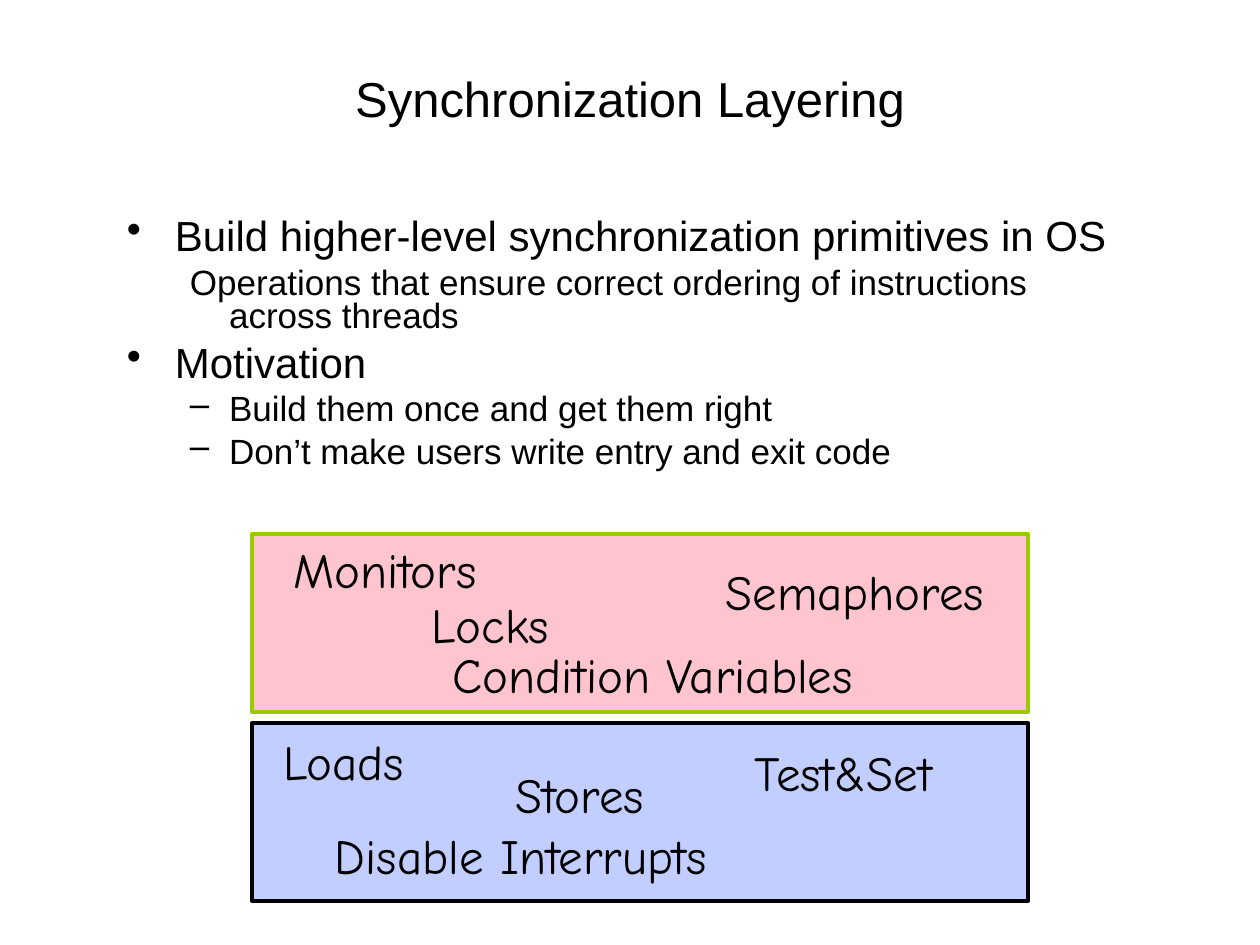
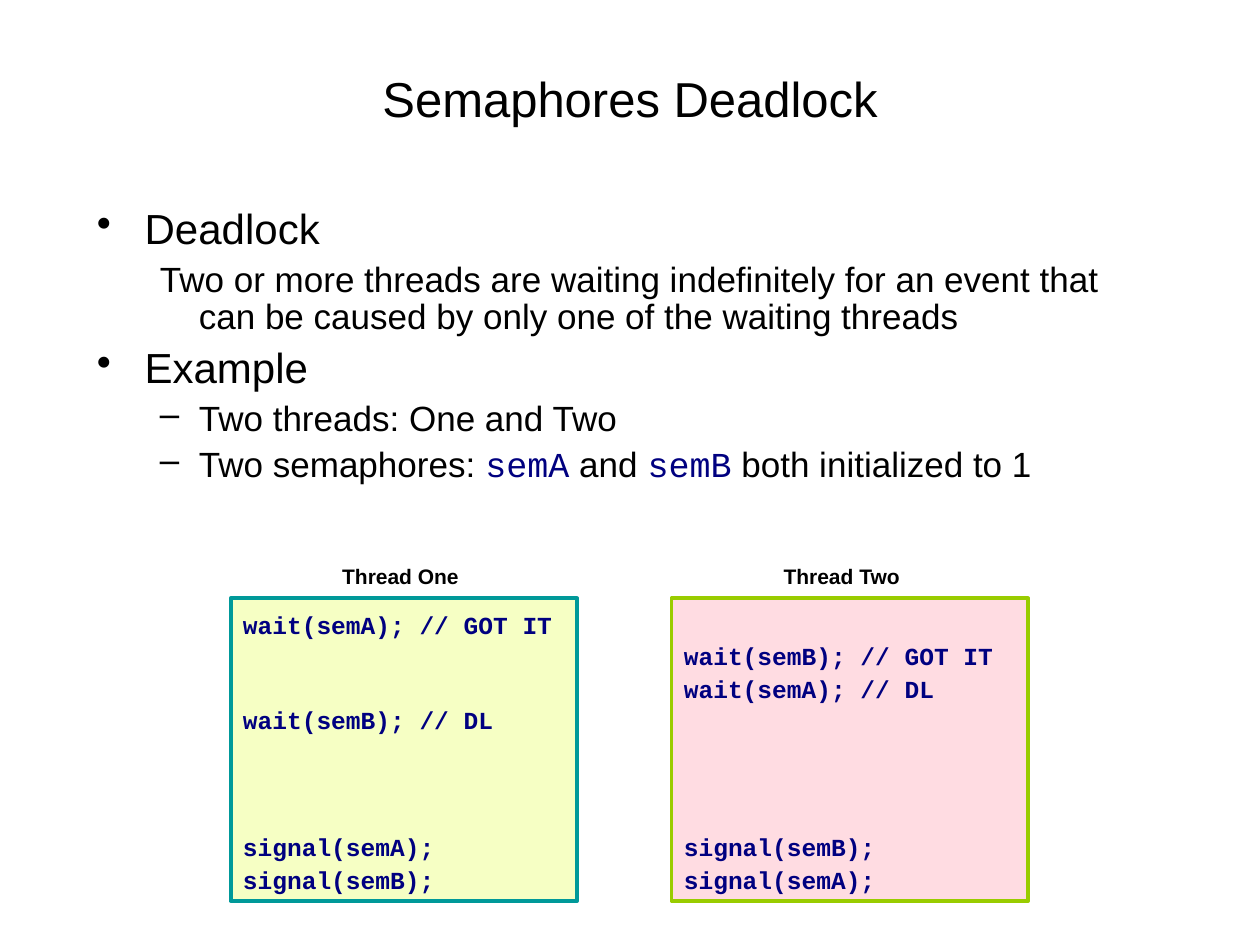
"""Build two slides on synchronization layering and semaphore deadlock."""
from lxml.etree import SubElement
from pptx import Presentation
from pptx.dml.color import RGBColor
from pptx.enum.shapes import MSO_SHAPE
from pptx.enum.text import MSO_ANCHOR, PP_ALIGN
from pptx.oxml.ns import qn
from pptx.util import Inches, Pt

BLACK = RGBColor(0x00, 0x00, 0x00)
NAVY = RGBColor(0x00, 0x00, 0x80)
PINK = RGBColor(0xFF, 0xC5, 0xCF)
BLUE = RGBColor(0xC1, 0xCE, 0xFF)
YELLOW = RGBColor(0xF0, 0xFF, 0x9B)
GREEN = RGBColor(0x99, 0xCC, 0x00)
TEAL = RGBColor(0x00, 0x99, 0x99)
SANS, HAND, MONO = "Arial", "Comic Neue", "Courier New"

prs = Presentation()
prs.slide_width, prs.slide_height = Inches(10), Inches(7.5)
COL, ROW = prs.slide_width / 100, prs.slide_height / 75


def add_box(s, x, y, w, h, fill=None, line=None, anchor=MSO_ANCHOR.TOP, alpha=100):
    """Add a text box, or a filled rectangle, on the grid; return its text frame."""
    at = [int(v) for v in (x * COL, y * ROW, w * COL, h * ROW)]
    if fill is None:
        sp = s.shapes.add_textbox(*at)
    else:
        sp = s.shapes.add_shape(MSO_SHAPE.RECTANGLE, *at)
        sp.shadow.inherit = False
        sp.fill.solid()
        sp.fill.fore_color.rgb = fill
        sp.line.color.rgb = line
        sp.line.width = Pt(2.25)
        if alpha < 100:
            color = sp.fill._xPr.find(qn("a:solidFill"))[0]
            SubElement(color, qn("a:alpha"), val=str(alpha * 1000))
    tf = sp.text_frame
    tf.word_wrap = True
    tf.vertical_anchor = anchor
    return tf


def add_line(tf, text, size, font=SANS, color=BLACK, bold=False, align=PP_ALIGN.LEFT):
    """Write the next paragraph, setting parts between backticks as code."""
    p = tf.paragraphs[0]
    if p.runs:
        p = tf.add_paragraph()
    p.alignment = align
    p.font.size, p.font.name, p.font.bold = Pt(size), font, bold
    p.font.color.rgb = color
    for i, part in enumerate(text.split("`")):
        r = p.add_run()
        r.text = part
        if i % 2:
            r.font.name = MONO
            r.font.color.rgb = NAVY
    return p


slides = [
    ("Synchronization Layering", (9.1, 16.9, 82.4, 22.8), 0.8, [
        (0, "•", "Build higher-level synchronization primitives in OS"),
        (1, None, "Operations that ensure correct ordering of instructions across threads"),
        (0, "•", "Motivation"),
        (1, "–", "Build them once and get them right"),
        (1, "–", "Don’t make users write entry and exit code"),
    ]),
    ("Semaphores Deadlock", (6.7, 16.1, 83.3, 28.3), 0.89, [
        (0, "•", "Deadlock"),
        (1, None, "Two or more threads are waiting indefinitely for an event that "
                  "can be caused by only one of the waiting threads"),
        (0, "•", "Example"),
        (1, "–", "Two threads: One and Two"),
        (1, "–", "Two semaphores: `semA` and `semB` both initialized to 1"),
    ]),
]
for title, body, spacing, points in slides:
    s = prs.slides.add_slide(prs.slide_layouts[6])
    tf = add_box(s, 5, 3, 90, 9.5, anchor=MSO_ANCHOR.MIDDLE)
    add_line(tf, title, 28, align=PP_ALIGN.CENTER)
    tf = add_box(s, *body)
    for i, (level, bullet, text) in enumerate(points):
        size, margin, indent = [(24, 0.38, -0.38), (20, 0.81, -0.31)][level]
        p = add_line(tf, text, size)
        p.line_spacing = spacing
        p.space_before = Pt(size / 4 if i else 0)
        pPr = p._p.get_or_add_pPr()
        pPr.set("marL", str(Inches(margin)))
        pPr.set("indent", str(Inches(indent)))
        mark = pPr.makeelement(qn("a:buChar"), {"char": bullet}) if bullet else pPr.makeelement(qn("a:buNone"))
        pPr.find(qn("a:defRPr")).addprevious(mark)

layering, deadlock = prs.slides

layers = [
    (42.4, PINK, GREEN, [("Monitors", 22.3, 42.3, 20.6), ("Semaphores", 56.6, 44.1, 25.3),
                         ("Condition Variables", 34.9, 50.7, 46.2), ("Locks", 33.3, 46.7, 18.1)]),
    (57.4, BLUE, BLACK, [("Loads", 21.5, 57.6, 13), ("Stores", 39.9, 60.2, 13.4),
                         ("Test&Set", 58.9, 58.4, 18.6), ("Disable Interrupts", 25.6, 65, 34.5)]),
]
for top, fill, line, words in layers:
    add_box(layering, 20, top, 61.6, 14.1, fill, line)
    for word, x, y, w in words:
        add_line(add_box(layering, x, y, w, 5.7), word, 28, HAND)

threads = [
    ("Thread One", 18.3, 27.5, YELLOW, TEAL,
     [(0, "wait(semA); // GOT IT"), (2, "wait(semB); // DL"), (3, "signal(semA);"), (0, "signal(semB);")]),
    ("Thread Two", 53.3, 28.3, PINK, GREEN,
     [(0, "wait(semB); // GOT IT"), (0, "wait(semA); // DL"), (4, "signal(semB);"), (0, "signal(semA);")]),
]
for name, x, w, fill, line, code in threads:
    tf = add_box(deadlock, x, 47.5, w, 24, fill, line, MSO_ANCHOR.BOTTOM, alpha=59)
    for skipped, text in code:
        p = add_line(tf, text, 14, MONO, NAVY, bold=True)
        p.line_spacing = 0.9
        p.space_before = Pt(3.6 + 17.9 * skipped)
    tf = add_box(deadlock, x + 5, 44.2, 14.1, 3, anchor=MSO_ANCHOR.BOTTOM)
    add_line(tf, name, 12, bold=True, align=PP_ALIGN.RIGHT)

prs.save("out.pptx")
